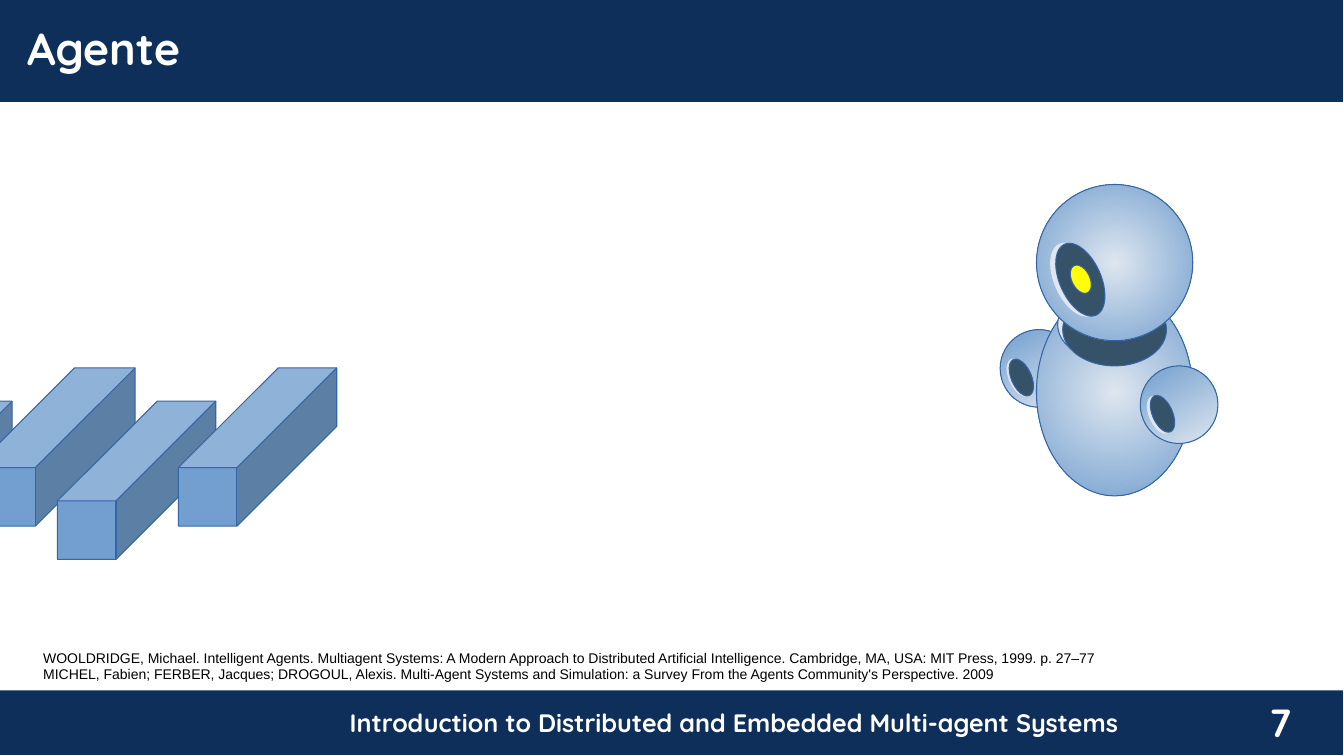
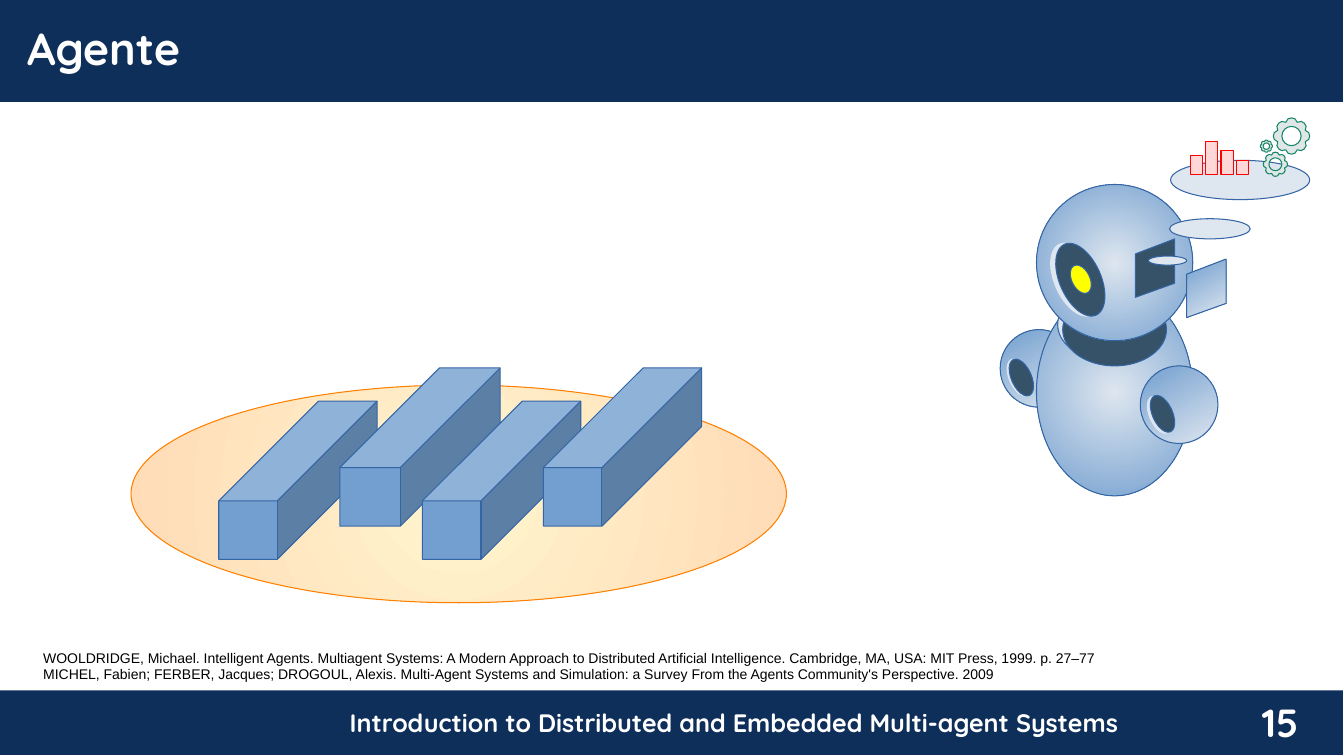
"""Builds two slides about agents: a robot and the blocks in its environment."""
import math
from dataclasses import dataclass

import pptx
import pptx.dml.color
import pptx.enum.shapes
import pptx.enum.text
import pptx.oxml
import pptx.oxml.ns
import pptx.util

Inches = pptx.util.Inches
Shape = pptx.enum.shapes.MSO_SHAPE
Align = pptx.enum.text.PP_ALIGN


@dataclass(frozen=True)
class Theme:
    navy: str = "0F2F5B"
    white: str = "FFFFFF"
    black: str = "000000"
    blue: str = "729FCF"
    pale: str = "DEE6EF"
    slate: str = "355269"
    outline: str = "3465A4"
    yellow: str = "FFFF00"
    cream: str = "FFF5CE"
    peach: str = "FFDBB6"
    orange: str = "FF8000"
    pink: str = "FFD7D7"
    red: str = "FF0000"
    mint: str = "DEE7E5"
    green: str = "158466"
    heading_font: str = "Quicksand"
    body_font: str = "Arial"
    title_size: int = 32
    number_size: int = 28
    footer_size: int = 18
    reference_size: int = 10


theme = Theme()
RADIAL = None


def paint(shape, fill, line=None):
    """Apply a colour or a (start, end, clockwise angle or RADIAL) gradient."""
    shape.shadow.inherit = False
    if isinstance(fill, str):
        shape.fill.solid()
        shape.fill.fore_color.rgb = pptx.dml.color.RGBColor.from_string(fill)
    else:
        start, end, angle = fill
        shape.fill.gradient()
        for stop, colour in zip(shape.fill.gradient_stops, (start, end)):
            stop.color.rgb = pptx.dml.color.RGBColor.from_string(colour)
        if angle is RADIAL:
            linear = shape.element.spPr.find(".//" + pptx.oxml.ns.qn("a:lin"))
            linear.getparent().replace(linear, pptx.oxml.parse_xml(
                f'<a:path {pptx.oxml.ns.nsdecls("a")} path="circle">'
                '<a:fillToRect l="50000" t="50000" r="50000" b="50000"/></a:path>'))
        else:
            shape.fill.gradient_angle = 360 - angle
    if line:
        shape.line.color.rgb = pptx.dml.color.RGBColor.from_string(line)
        shape.line.width = pptx.util.Pt(0)
    else:
        shape.line.fill.background()


def write(slide, box, lines, size, font=theme.heading_font, colour=theme.white,
          bold=True, align=Align.LEFT):
    """Add a text box with one paragraph for each line."""
    frame = slide.shapes.add_textbox(*map(Inches, box)).text_frame
    frame.word_wrap = True
    for index, line in enumerate(lines):
        paragraph = frame.paragraphs[0] if index == 0 else frame.add_paragraph()
        paragraph.alignment = align
        run = paragraph.add_run()
        run.text = line
        run.font.size = pptx.util.Pt(size)
        run.font.name = font
        run.font.bold = bold
        run.font.color.rgb = pptx.dml.color.RGBColor.from_string(colour)


references = [
    "WOOLDRIDGE, Michael. Intelligent Agents. Multiagent Systems: A Modern Approach to "
    "Distributed Artificial Intelligence. Cambridge, MA, USA: MIT Press, 1999. p. 27–77",
    "MICHEL, Fabien; FERBER, Jacques; DROGOUL, Alexis. Multi-Agent Systems and Simulation: "
    "a Survey From the Agents Community's Perspective. 2009",
]

arm = (theme.blue, theme.pale, 60)
sphere = (theme.pale, theme.blue, RADIAL)
robot_parts = [
    ((9.92, 3.27, 0.77, 0.77), 0, arm, theme.outline),
    ((10.01, 3.55, 0.2, 0.39), 336, theme.pale, theme.pale),
    ((10.03, 3.55, 0.2, 0.39), 336, theme.slate, theme.outline),
    ((10.28, 2.86, 1.55, 2.06), 0, sphere, theme.outline),
    ((10.49, 2.86, 1.03, 0.72), 0, theme.pale, theme.outline),
    ((10.54, 2.91, 1.03, 0.72), 0, theme.slate, theme.outline),
    ((10.28, 1.83, 1.55, 1.55), 0, sphere, theme.outline),
    ((10.46, 2.39, 0.41, 0.77), 336, theme.pale, theme.pale),
    ((10.51, 2.39, 0.41, 0.77), 336, theme.slate, theme.outline),
    ((11.31, 3.63, 0.77, 0.77), 0, arm, theme.outline),
    ((11.4, 3.92, 0.2, 0.39), 336, theme.pale, theme.pale),
    ((11.43, 3.91, 0.2, 0.39), 336, theme.slate, theme.outline),
    ((10.63, 2.62, 0.18, 0.3), 334, theme.yellow, theme.outline),
]

deck = pptx.Presentation()
deck.slide_width, deck.slide_height = Inches(13.33), Inches(7.5)
layout = deck.slide_layouts[6]
for placeholder in list(layout.placeholders):
    placeholder.element.getparent().remove(placeholder.element)

for number, blocks_left, thinking in [(7, -1.45, False), (15, 2.17, True)]:
    slide = deck.slides.add_slide(layout)

    if not len(layout.shapes):
        for top, height in [(6.85, 0.64), (0, 1.01)]:
            band = slide.shapes.add_shape(
                Shape.RECTANGLE, 0, Inches(top), Inches(13.32), Inches(height))
            paint(band, theme.navy)
        write(slide, (2.28, 6.97, 10, 0.4),
              ["Introduction to Distributed and Embedded Multi-agent Systems"],
              theme.footer_size, align=Align.CENTER)
        for shared in list(slide.shapes):
            layout.element.cSld.spTree.append(shared.element)

    write(slide, (12.15, 6.88, 1.1, 0.63), [str(number)], theme.number_size,
          align=Align.CENTER)
    write(slide, (0.17, 0.16, 13.16, 0.63), ["Agente"], theme.title_size)
    write(slide, (0.33, 6.39, 12.79, 0.43), references, theme.reference_size,
          theme.body_font, theme.black, bold=False)

    robot = slide.shapes.add_group_shape()
    for box, turn, fill, line in robot_parts:
        part = robot.shapes.add_shape(Shape.OVAL, *map(Inches, box))
        part.rotation = turn
        paint(part, fill, line)

    if thinking:
        environment = slide.shapes.add_shape(
            Shape.OVAL, Inches(1.3), Inches(3.82), Inches(6.5), Inches(2.16))
        paint(environment, (theme.cream, theme.peach, RADIAL), theme.orange)

    for index, width in enumerate([1.57, 1.59, 1.57, 1.57]):
        pair, back = divmod(index, 2)
        block = slide.shapes.add_shape(
            Shape.CUBE, Inches(blocks_left + 2.02 * pair + 1.2 * back),
            Inches(3.65 if back else 3.98), Inches(width), Inches(1.57))
        block.adjustments[0] = 0.63
        paint(block, theme.blue, theme.outline)

    if not thinking:
        continue

    for left, top, fill in [(11.26, 2.37, theme.slate), (11.77, 2.57, arm)]:
        corners = [(left + 0.39, top + 0.44), (left + 0.39, top),
                   (left, top + 0.15), (left, top + 0.58)]
        corners = [(Inches(x), Inches(y)) for x, y in corners]
        outline = slide.shapes.build_freeform(*corners[0])
        outline.add_line_segments(corners[1:], close=True)
        paint(outline.convert_to_shape(), fill, theme.outline)

    for box in [(11.61, 1.59, 1.38, 0.39), (11.6, 2.17, 0.8, 0.2), (11.39, 2.54, 0.38, 0.09)]:
        thought = slide.shapes.add_shape(Shape.OVAL, *map(Inches, box))
        paint(thought, theme.pale, theme.outline)

    bars = slide.shapes.add_group_shape()
    for index, height in enumerate([0.19, 0.33, 0.24, 0.14]):
        bar = bars.shapes.add_shape(
            Shape.RECTANGLE, Inches(11.81 + 0.15 * index), Inches(1.73 - height),
            Inches(0.12), Inches(height))
        paint(bar, theme.pink, theme.red)

    gears = slide.shapes.add_group_shape()
    for centre_x, centre_y, radius in [(12.65, 1.63, 0.12), (12.81, 1.35, 0.18),
                                       (12.56, 1.45, 0.06)]:
        hole, rim = [], []
        for ring, steps in [(hole, 16), (rim, 32)]:
            for step in range(steps):
                angle = math.tau * step / steps
                lobe = 0.82 + 0.18 * abs(math.cos(4 * angle)) ** 0.6
                reach = radius * (lobe if ring is rim else 0.53)
                ring.append((Inches(centre_x + reach * math.cos(angle)),
                             Inches(centre_y + reach * math.sin(angle))))
        outline = gears.shapes.build_freeform(*rim[0])
        outline.add_line_segments(rim[1:], close=True)
        outline.move_to(*hole[0])
        outline.add_line_segments(hole[1:], close=True)
        paint(outline.convert_to_shape(), theme.mint, theme.green)

deck.save("out.pptx")
